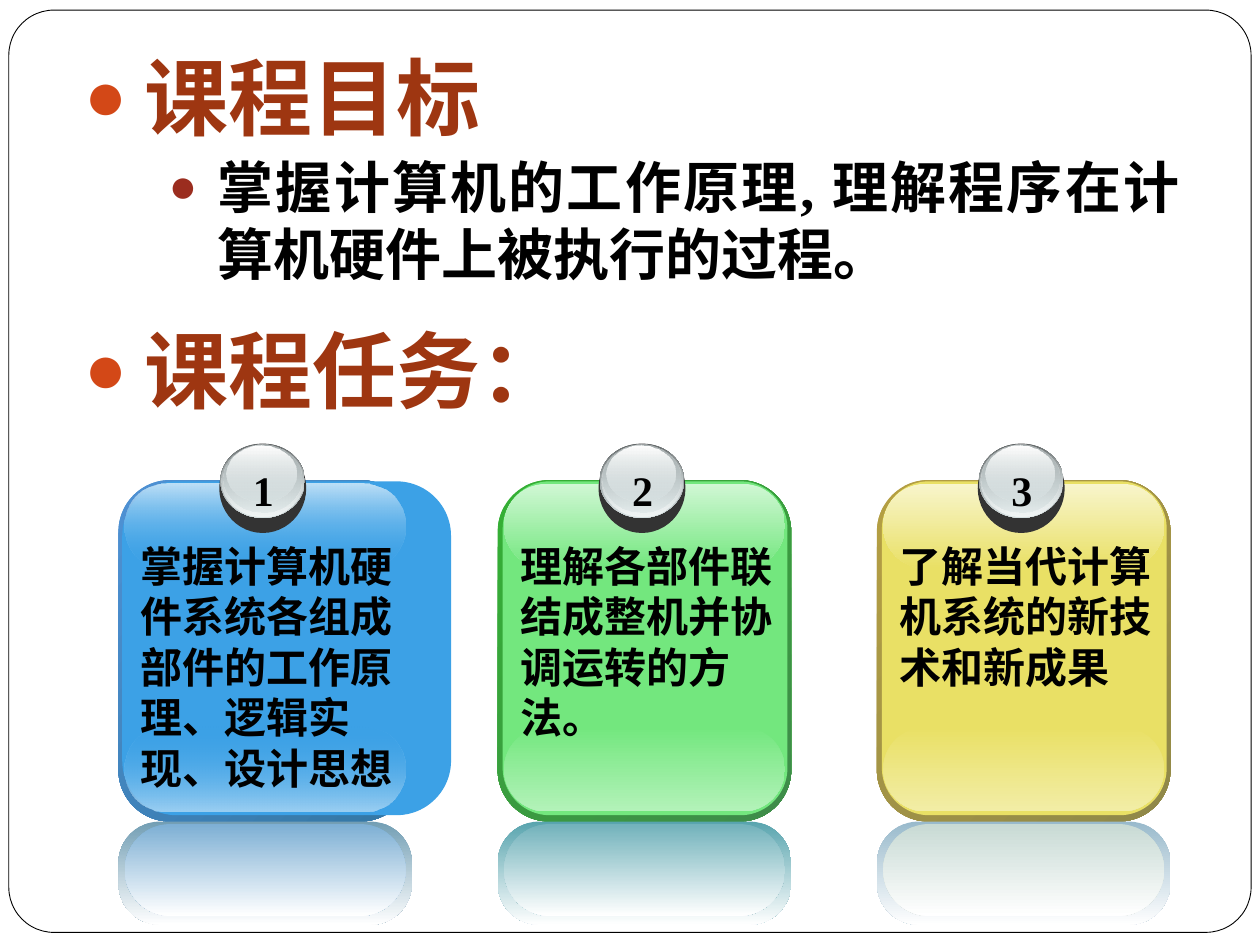
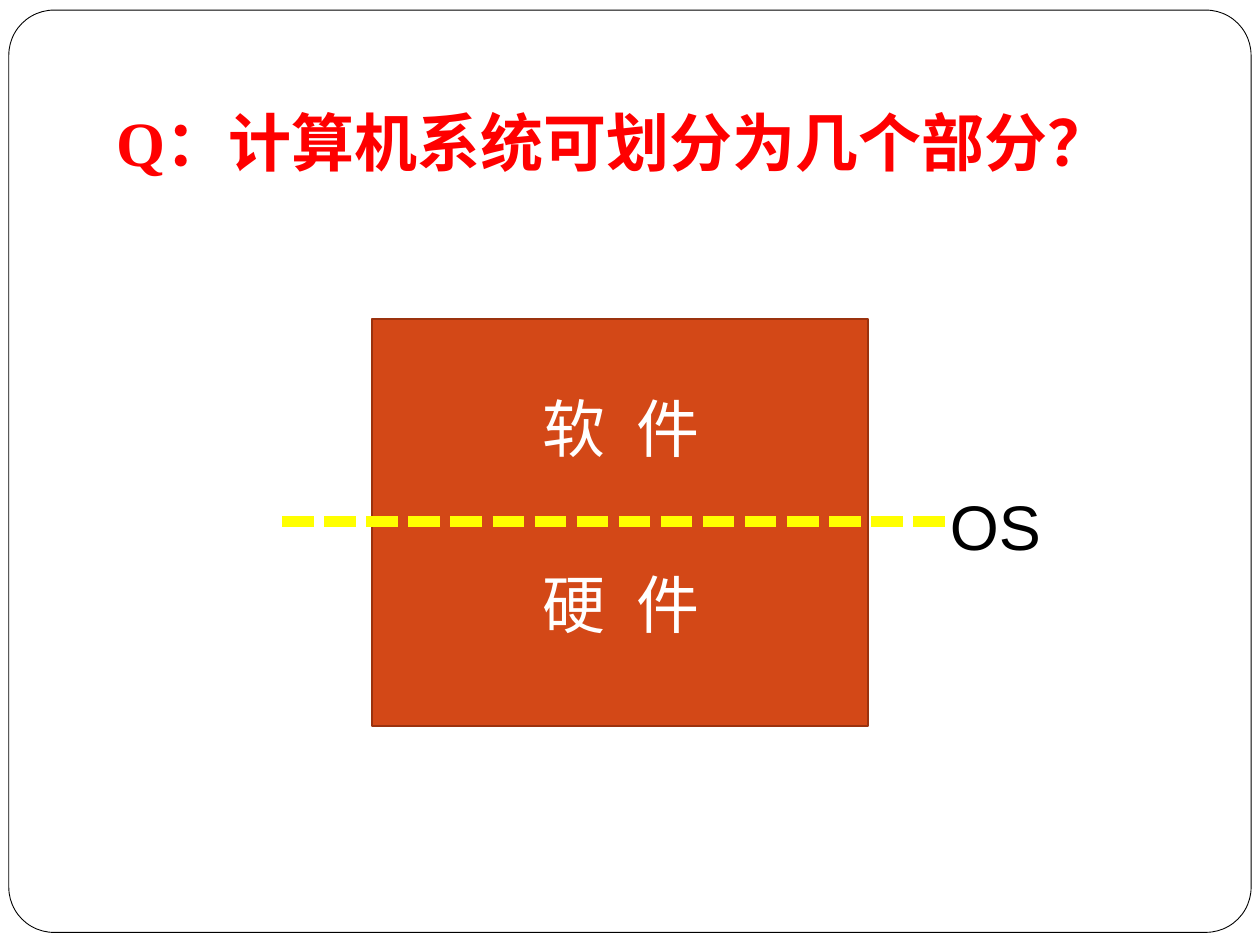
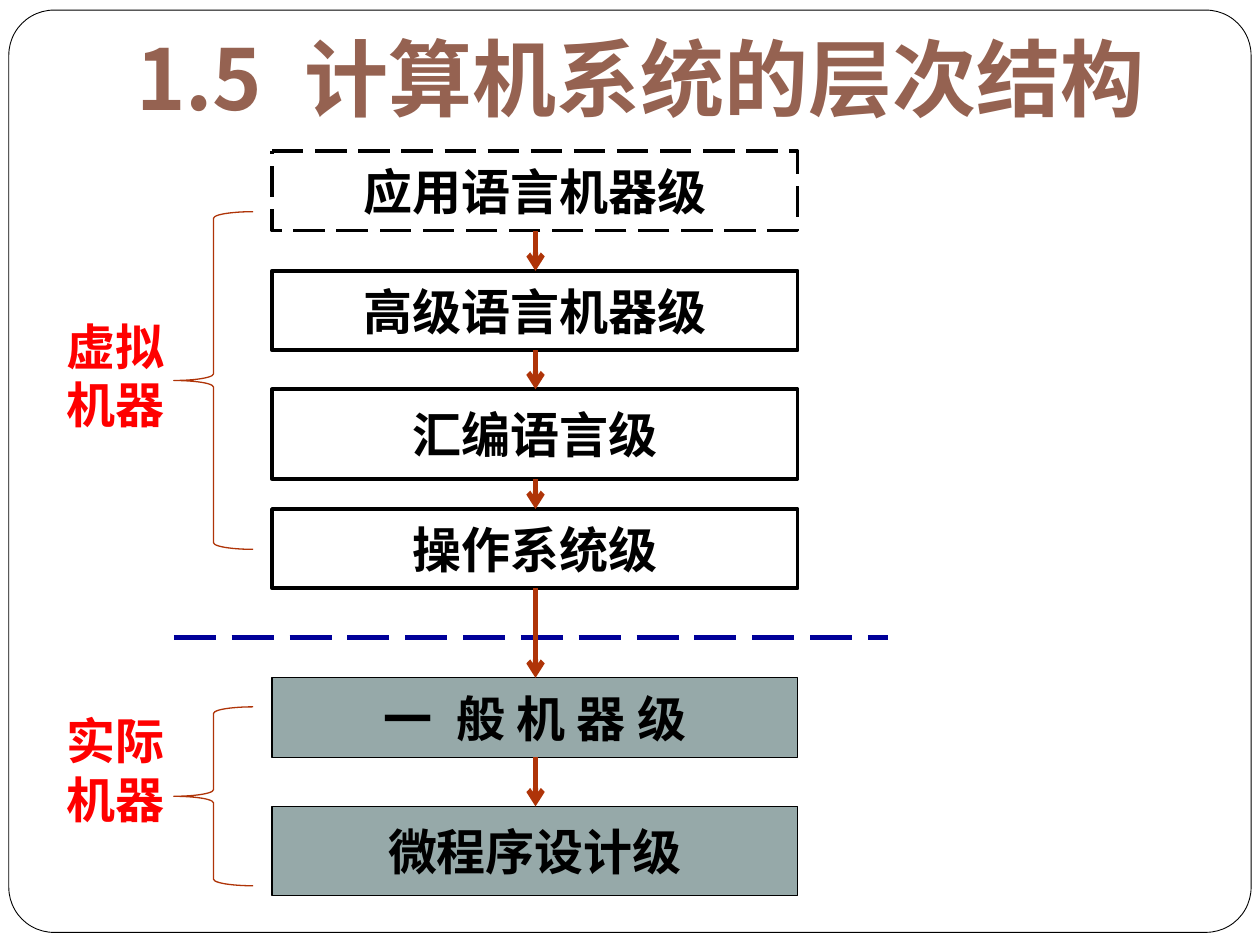
from typing import NamedTuple, Optional

from lxml.etree import SubElement as sub
from pptx import Presentation
from pptx.dml.color import RGBColor as Rgb
from pptx.enum.dml import MSO_LINE as Dash
from pptx.enum.shapes import MSO_CONNECTOR as Link, MSO_SHAPE as Kind
from pptx.enum.text import MSO_ANCHOR as Anchor, PP_ALIGN as Align
from pptx.oxml.ns import qn
from pptx.util import Pt

PX = 9144  # EMU per px, 100 px to the inch
SANS, SERIF, HAN = "Arial", "Times New Roman", "Noto Sans CJK SC"

INK = {
    "white": "FFFFFF", "black": "000000", "red": "FF0000", "yellow": "FFFF00",
    "navy": "000099", "rust": "9E3611", "brick": "9B2D1F", "orange": "D34817",
    "edge": "9B320E", "arrow": "AF3408", "slate": "96A9A9", "title": "956251",
    # number balls
    "coal": "333333", "iron": "636869", "silver": "D6E1E2",
    "pearl": "F1F5F5", "steel": "AAB2B3",
    # task cards
    "blue_rim": "4E91D4", "blue_dark": "3477A4", "blue_face": "3CA1E6",
    "blue_foot": "9BCFF2", "blue_gloss": "BEE0F7",
    "blue_echo": "729EB4", "blue_mist": "7DAFD4",
    "green_rim": "34B034", "green_dark": "3F8B4A", "green_face": "73E77E",
    "green_foot": "B3F2B9", "green_gloss": "D0F7D4",
    "green_echo": "58A4AE", "green_mist": "72B2BB",
    "gold_rim": "B59F43", "gold_dark": "8F8849", "gold_face": "E9E065",
    "gold_foot": "F2EDA6", "gold_gloss": "F8F5CC",
    "gold_echo": "99BACC", "gold_mist": "C8DAD4",
}


class Box(NamedTuple):
    x: int
    y: int
    w: int
    h: int


class Fade(NamedTuple):
    start: str
    end: str
    angle: int = 90
    alphas: tuple = (100, 100)


class Pen(NamedTuple):
    color: str
    width: float
    dash: Optional[Dash] = None


class Style(NamedTuple):
    size: int
    face: str = SANS
    color: str = "black"
    bold: bool = True
    align: Align = Align.LEFT
    wide: bool = False  # stretch the first space to double width


class Card(NamedTuple):
    tone: str
    text: str
    face: Box  # x counts from the card's left edge
    width: int
    height: int
    alpha: int = 100


class Point(NamedTuple):
    text: str
    style: Style
    level: int
    margin: int
    hang: int
    dot: str
    before: float
    after: float


class Level(NamedTuple):
    text: str
    y: int
    h: int
    fill: str
    pen: Pen
    wide: bool = False


class Group(NamedTuple):
    text: str
    label: int
    y: int
    h: int


def rgb(name: str) -> Rgb:
    return Rgb.from_string(INK[name])


def emu(box: Box) -> list:
    return [n * PX for n in box]


# Drawing helpers
def ink(line, pen: Pen) -> None:
    line.color.rgb = rgb(pen.color)
    line.width = Pt(pen.width)
    if pen.dash is not None:
        line.dash_style = pen.dash


def shade(shape, fade: Fade) -> None:
    shape.fill.gradient()
    shape.fill.gradient_angle = 360 - fade.angle
    for stop, name in zip(shape.fill.gradient_stops, fade[:2]):
        stop.color.rgb = rgb(name)
    tints = shape.element.xpath(".//a:gs/a:srgbClr")
    for tint, alpha in zip(tints, fade.alphas):
        if alpha < 100:
            sub(tint, qn("a:alpha"), val=str(alpha * 1000))


def draw(slide, kind: Kind, box: Box, fill=None, pen: Optional[Pen] = None,
         bend: Optional[float] = None):
    shape = slide.shapes.add_shape(kind, *emu(box))
    shape.shadow.inherit = False
    if bend is not None:
        shape.adjustments[0] = bend
    if isinstance(fill, Fade):
        shade(shape, fill)
    elif fill:
        shape.fill.solid()
        shape.fill.fore_color.rgb = rgb(fill)
    else:
        shape.fill.background()
    if pen:
        ink(shape.line, pen)
    else:
        shape.line.fill.background()
    return shape


def join(slide, start: tuple, end: tuple, pen: Pen, head: bool = False) -> None:
    ends = [n * PX for n in (*start, *end)]
    line = slide.shapes.add_connector(Link.STRAIGHT, *ends)
    ink(line.line, pen)
    props = line.element.spPr
    if head:
        sub(props.find(qn("a:ln")), qn("a:tailEnd"), type="arrow")
    sub(props, qn("a:effectLst"))


def fill_in(para, text: str, style: Style) -> None:
    for piece in text.partition(" ") if style.wide else (text,):
        run = para.add_run()
        run.text = piece
        if piece == " ":
            run._r.get_or_add_rPr().set("spc", str(style.size * 27))
    # keep closing punctuation inside the box
    para._p.get_or_add_pPr().set("hangingPunct", "0")
    para.alignment = style.align
    font = para.font
    font.size = Pt(style.size)
    font.bold = style.bold
    font.color.rgb = rgb(style.color)
    font.name = style.face
    for props in para._p.xpath("a:pPr/a:defRPr"):
        sub(props, qn("a:ea"), typeface=HAN)


def write(slide, box: Box, text: str, style: Style, wrap: bool = True):
    frame = slide.shapes.add_textbox(*emu(box)).text_frame
    frame.word_wrap = wrap
    para = frame.paragraphs[0]
    fill_in(para, text, style)
    return para


def mark(para, point: Point) -> None:
    props = para._p.get_or_add_pPr()
    props.set("marL", str(point.margin * PX))
    props.set("indent", str(-point.hang * PX))
    tint = sub(props, qn("a:buClr"))
    sub(tint, qn("a:srgbClr"), val=INK[point.dot])
    sub(props, qn("a:buSzPct"), val="85000")
    sub(props, qn("a:buFont"), typeface=SANS)
    sub(props, qn("a:buChar"), char="●")


def start(deck):
    """Add a blank slide with the shared rounded frame."""
    slide = deck.slides.add_slide(deck.slide_layouts[6])
    draw(slide, Kind.ROUNDED_RECTANGLE, Box(7, 8, 986, 732), "white",
         Pen("black", 0.5), 0.049)
    return slide


# Slide 1: goals and tasks
HEAD = Style(48, HAN, "rust", align=Align.JUSTIFY)
BODY = Style(32, SERIF, align=Align.JUSTIFY)
POINTS = [
    Point("课程目标", HEAD, 0, 48, 48, "orange", 0, 0),
    Point("掌握计算机的工作原理, 理解程序在计算机硬件上被执行的过程。",
          BODY, 1, 106, 39, "brick", 3.7, 12),
    Point("课程任务：", HEAD, 0, 48, 48, "orange", 5.8, 0),
]
SLIM = Box(4, 382, 226, 265)
CARDS = [
    Card("blue", "掌握计算机硬件系统各组成部件的工作原理、逻辑实现、设计思想",
         Box(3, 382, 261, 265), 239, 210, 0),
    Card("green", "理解各部件联结成整机并协调运转的方法。", SLIM, 222, 130),
    Card("gold", "了解当代计算机系统的新技术和新成果", SLIM, 222, 130),
]
LEFT, PITCH = 94, 301
BALL = [
    (Box(80, 352, 69, 71), "coal"),
    (Box(81, 352, 67, 59), Fade("iron", "silver")),
    (Box(82, 352, 65, 58), Fade("silver", "pearl", alphas=(0, 100))),
    (Box(83, 353, 62, 54), Fade("steel", "silver", alphas=(100, 48))),
    (Box(86, 354, 55, 44), Fade("white", "silver", alphas=(100, 38))),
]


def deal(slide, spot: int, card: Card) -> None:
    left, tone = LEFT + spot * PITCH, card.tone
    face = f"{tone}_face"
    layers = [
        (Box(0, 381, 233, 271), Fade(f"{tone}_rim", f"{tone}_dark", 45), 0.176),
        (card.face, face, 0.166),
        (Box(5, 577, 223, 67),
         Fade(face, f"{tone}_foot", alphas=(card.alpha, 100)), 0.5),
        (Box(5, 384, 223, 67),
         Fade(f"{tone}_gloss", face, alphas=(100, card.alpha)), 0.5),
        (Box(0, 652, 233, 82), Fade(f"{tone}_echo", "white"), 0.404),
        (Box(5, 654, 223, 73), Fade(f"{tone}_mist", "white"), 0.5),
    ]
    for box, fill, bend in layers:
        draw(slide, Kind.ROUNDED_RECTANGLE, box._replace(x=left + box.x),
             fill, bend=bend)
    for box, fill in BALL:
        draw(slide, Kind.OVAL, box._replace(x=left + box.x), fill)
    write(slide, Box(left + 96, 364, 38, 50), str(spot + 1),
          Style(24, SERIF, align=Align.CENTER), wrap=False)
    write(slide, Box(left + 8, 424, card.width, card.height), card.text,
          Style(24, SERIF))


def goals(deck) -> None:
    slide = start(deck)
    frame = slide.shapes.add_textbox(*emu(Box(57, 31, 889, 574))).text_frame
    frame.word_wrap = True
    for spot, point in enumerate(POINTS):
        para = frame.add_paragraph() if spot else frame.paragraphs[0]
        para.level = point.level
        mark(para, point)
        para.space_before = Pt(point.before)
        para.space_after = Pt(point.after)
        fill_in(para, point.text, point.style)
    for spot, card in enumerate(CARDS):
        deal(slide, spot, card)


# Slide 2: software and hardware
def parts(deck) -> None:
    slide = start(deck)
    ask = write(slide, Box(83, 84, 811, 64), "Q：计算机系统可划分为几个部分？",
                Style(36, SERIF, "red"))
    ask.line_spacing = 0.9
    draw(slide, Kind.RECTANGLE, Box(295, 253, 394, 323), "orange",
         Pen("edge", 1))
    join(slide, (224, 414), (752, 414), Pen("yellow", 6, Dash.SQUARE_DOT))
    for text, y in (("软 件", 304), ("硬 件", 444)):
        write(slide, Box(421, y, 189, 70), text,
              Style(36, color="white", bold=False, wide=True))
    write(slide, Box(744, 382, 110, 70), "OS", Style(36, bold=False))


# Slide 3: levels of the machine
SOLID, THIN = Pen("black", 2.25), Pen("black", 0.75)
LEVELS = [
    Level("应用语言机器级", 120, 63, "white", Pen("black", 2.25, Dash.LONG_DASH)),
    Level("高级语言机器级", 215, 63, "white", SOLID),
    Level("汇编语言级", 309, 71, "white", SOLID),
    Level("操作系统级", 404, 63, "white", SOLID),
    Level("一 般 机 器 级", 538, 63, "slate", THIN, True),
    Level("微程序设计级", 640, 71, "slate", THIN),
]
GROUPS = [Group("虚拟机器", 246, 168, 268), Group("实际机器", 559, 561, 142)]
MID = 425


def tiers(deck) -> None:
    slide = start(deck)
    for tier in LEVELS:
        shape = draw(slide, Kind.FLOWCHART_PROCESS,
                     Box(216, tier.y, 417, tier.h), tier.fill, tier.pen)
        frame = shape.text_frame
        frame.word_wrap = False
        frame.vertical_anchor = Anchor.MIDDLE
        fill_in(frame.paragraphs[0], tier.text,
                Style(28, align=Align.CENTER, wide=tier.wide))
    join(slide, (138, 506), (705, 506), Pen("navy", 3, Dash.LONG_DASH))
    for group in GROUPS:
        write(slide, Box(43, group.label, 110, 104), group.text,
              Style(28, color="red"))
        draw(slide, Kind.LEFT_BRACE, Box(138, group.y, 63, group.h),
             pen=Pen("arrow", 0.75))
    for top, low in zip(LEVELS, LEVELS[1:]):
        join(slide, (MID, top.y + top.h), (MID, low.y), Pen("arrow", 3), True)
    write(slide, Box(67, 16, 882, 125), "1.5 计算机系统的层次结构",
          Style(48, HAN, "title", align=Align.CENTER, wide=True))


def main() -> None:
    deck = Presentation()
    deck.slide_width, deck.slide_height = 1000 * PX, 750 * PX
    for build in (goals, parts, tiers):
        build(deck)
    deck.save("out.pptx")


if __name__ == "__main__":
    main()
